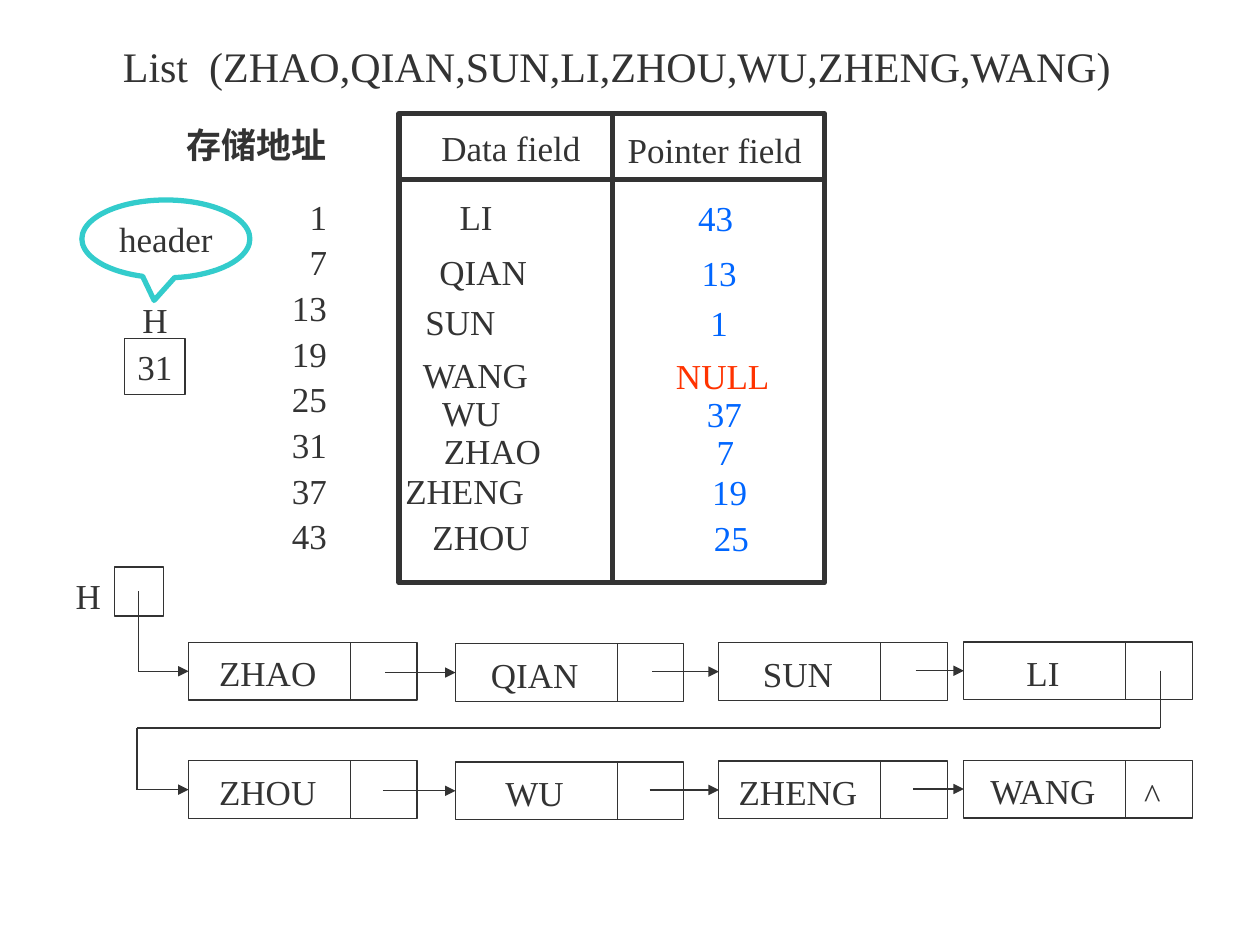
from pptx import Presentation
from pptx import util as u
from pptx.dml.color import RGBColor
from pptx.enum import shapes, text
from pptx.oxml.ns import qn
from lxml import etree

Pt = u.Pt
INK = RGBColor(0x33, 0x33, 0x33)
BLUE = RGBColor(0x00, 0x66, 0xFF)
RED = RGBColor(0xFF, 0x33, 0x00)
TEAL = RGBColor(0x33, 0xCC, 0xCC)
SERIF, CJK = "Times New Roman", "Noto Sans CJK SC"
LEFT, CENTER, RIGHT = (text.PP_ALIGN.LEFT, text.PP_ALIGN.CENTER,
                       text.PP_ALIGN.RIGHT)
RECT = shapes.MSO_SHAPE.RECTANGLE
LABEL_H = 32
FRAME = {"vertical_anchor": text.MSO_ANCHOR.MIDDLE,
         "auto_size": text.MSO_AUTO_SIZE.NONE,
         "margin_left": Pt(7.2), "margin_right": Pt(7.2),
         "margin_top": Pt(3.6), "margin_bottom": Pt(3.6)}


def set_attrs(obj, values):
    for name, value in values.items():
        setattr(obj, name, value)


def write(sp, words, align=CENTER, color=INK, wrap=False, **font):
    tf = sp.text_frame
    set_attrs(tf, {**FRAME, "word_wrap": wrap})
    p = tf.paragraphs[0]
    p.alignment = align
    r = p.add_run()
    r.text = words
    set_attrs(r.font, {"name": SERIF, "size": Pt(20), **font})
    r.font.color.rgb = color
    return r


def add_label(slide, x, y, w, words, align=CENTER, **style):
    sp = slide.shapes.add_textbox(Pt(x), Pt(y), Pt(w), Pt(LABEL_H))
    return write(sp, words, align, wrap=True, **style)


def add_outline(slide, kind, box, color=INK, weight=0.75):
    sp = slide.shapes.add_shape(kind, *map(Pt, box))
    sp.shadow.inherit = False
    sp.fill.background()
    sp.line.color.rgb = color
    sp.line.width = Pt(weight)
    return sp


def add_line(slide, start, end, weight=0.75, target=None):
    """Straight line; with a target, an arrow joined to its left side."""
    cn = slide.shapes.add_connector(shapes.MSO_CONNECTOR.STRAIGHT,
                                    *map(Pt, start + end))
    cn.line.color.rgb = INK
    cn.line.width = Pt(weight)
    if target is not None:
        cn.end_connect(target, 1)
        etree.SubElement(cn.line._get_or_add_ln(), qn("a:tailEnd"), type="triangle")
    etree.SubElement(cn._element.spPr, qn("a:effectLst"))


def add_arrow_path(slide, points, target):
    """Run through the points, then level into the target's left side."""
    for start, end in zip(points, points[1:]):
        add_line(slide, start, end)
    mid = (target.top + target.height / 2) / Pt(1)
    add_line(slide, points[-1], (target.left / Pt(1), mid), target=target)


def mid_y(sp):
    return (sp.top + sp.height / 2) / Pt(1)


def build_title(slide, box):
    sp = slide.shapes.title
    set_attrs(sp, dict(zip(("left", "top", "width", "height"), map(Pt, box))))
    write(sp, "List  (ZHAO,QIAN,SUN,LI,ZHOU,WU,ZHENG,WANG)", LEFT, size=Pt(24))


def build_addresses(slide, x, y, w):
    r = add_label(slide, x, y, w, "存储地址", RIGHT, name=CJK, bold=True)
    etree.SubElement(r._r.get_or_add_rPr(), qn("a:ea"), typeface=CJK)
    for i in range(8):
        add_label(slide, x, y + 41.2 + 26.1 * i, w, str(1 + 6 * i), RIGHT)


def build_storage_table(slide, x, y, w, h):
    # Frame and rules
    add_outline(slide, RECT, (x, y, w, h), weight=3)
    head_y, split_x = y + 37.5, x + 122
    add_line(slide, (x, head_y), (x + w, head_y), 3)
    add_line(slide, (split_x, y), (split_x, y + h), 3)
    add_label(slide, x + 14, y + 3.4, 100, "Data field")
    add_label(slide, x + 122, y + 4.4, 117, "Pointer field")
    # Rows: top, data and its left, pointer and its centre
    rows = [(42.5, "LI", 27.5, "43", 181), (74, "QIAN", 16, "13", 183),
            (102.5, "SUN", 8, "1", 183), (133, "WANG", 6.5, "NULL", 185),
            (154.5, "WU", 17.5, "37", 186), (176.5, "ZHAO", 18.5, "7", 186.5),
            (199.5, "ZHENG", -3.5, "19", 189), (225.5, "ZHOU", 12, "25", 190)]
    for top, data, data_x, pointer, center_x in rows:
        add_label(slide, x + data_x, y + top, 98, data, LEFT)
        add_label(slide, x + center_x - 36, y + top + 0.5, 72, pointer,
                  color=RED if pointer == "NULL" else BLUE)


def build_header(slide, x, y):
    callout = add_outline(slide, shapes.MSO_SHAPE.OVAL_CALLOUT,
                          (x, y, 96, 44.5), TEAL, 3)
    callout.adjustments[0], callout.adjustments[1] = -0.07, 0.79
    write(callout, "header")
    cell = add_outline(slide, RECT, (x + 24.5, y + 79.2, 34.5, LABEL_H))
    write(cell, "31")
    add_label(slide, x + 27.3, y + 52.5, 29, "H")


def build_node(slide, x, y, name):
    w, h, split = 130.5, 33, 92.4
    node = add_outline(slide, RECT, (x, y, w, h))
    add_line(slide, (x + split, y), (x + split, y + h))
    add_label(slide, x, y + 1.4, split - 2, name)
    return node


def build_row(slide, y, names, link_x):
    lefts, drops = (107.8, 260.3, 410.8, 550.8), (0.3, 1, 0.5, 0)
    nodes = [build_node(slide, x, y + drop, name)
             for x, drop, name in zip(lefts, drops, names)]
    for node, after in zip(nodes, nodes[1:]):
        start = (node.left / Pt(1) + link_x, mid_y(after))
        add_arrow_path(slide, [start], after)
    return nodes


def build_linked_list(slide, x, y):
    # Head pointer
    add_label(slide, x, y, 29, "H")
    add_outline(slide, RECT, (x + 29.5, y, 28, 28))
    # Two rows of nodes
    first = build_row(slide, y + 42.8, ("ZHAO", "QIAN", "SUN", "LI"), 112.5)
    second = build_row(slide, y + 110.4, ("ZHOU", "WU", "ZHENG", "WANG"), 111)
    add_label(slide, x + 610, y + 114, 25, "^")
    # Links into each row
    head_x, last_x, turn_y = x + 43, x + 627, y + 92
    add_arrow_path(slide, [(head_x, y + 14), (head_x, mid_y(first[0]))], first[0])
    add_arrow_path(slide, [(last_x, mid_y(first[-1])), (last_x, turn_y),
                           (head_x - 0.7, turn_y),
                           (head_x - 0.7, mid_y(second[0]))], second[0])


def main():
    prs = Presentation()
    prs.slide_width, prs.slide_height = Pt(720), Pt(540)
    slide = prs.slides.add_slide(prs.slide_layouts[5])
    build_title(slide, (63, 5, 581, 65))
    build_linked_list(slide, 36, 324)
    build_storage_table(slide, 228, 65, 243, 268)
    build_addresses(slide, 94, 66.3, 100)
    build_header(slide, 46.8, 114.3)
    prs.save("out.pptx")


if __name__ == "__main__":
    main()
